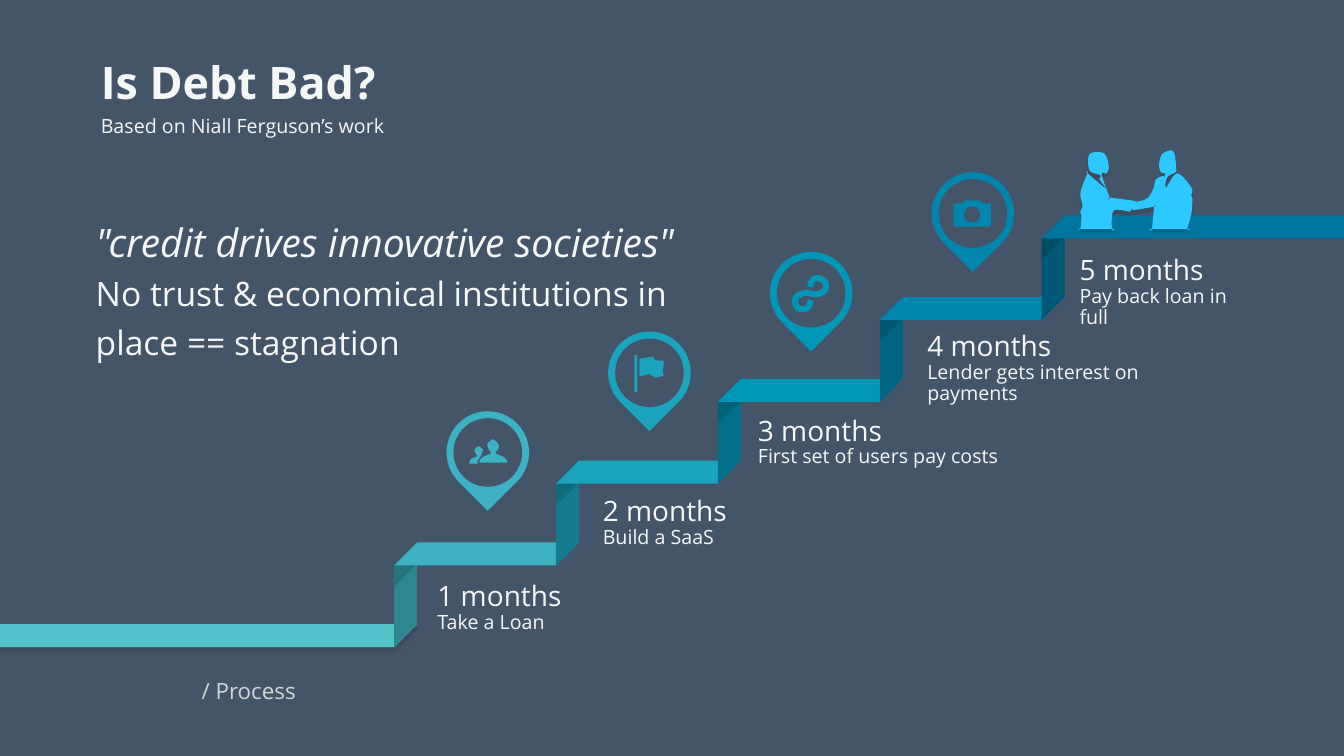
from lxml import etree
from pptx import Presentation
from pptx.dml.color import RGBColor
from pptx.enum.shapes import MSO_SHAPE
from pptx.enum.text import MSO_ANCHOR, MSO_AUTO_SIZE, PP_ALIGN
from pptx.oxml.ns import qn
from pptx.util import Pt

OVAL, TEAR = MSO_SHAPE.OVAL, MSO_SHAPE.TEAR
TOP, MIDDLE = MSO_ANCHOR.TOP, MSO_ANCHOR.MIDDLE
NO_FIT, LEFT = MSO_AUTO_SIZE.NONE, PP_ALIGN.LEFT

BACK, PALE, FACE = "445469", "F6F8F8", "Open Sans"
UNIT = 0.72  # points per step of the icon grids

# Stairs: fold size, left edges of the bands, top of the lowest band
FOLD, RISE, FLOOR = 16.5, 58.4, 445.8
EDGES = [-17.3] + [281.5 + 115.65 * i for i in range(5)] + [960.5]
BANDS = ["51C3CA", "3CB2C3", "1AA5BD", "0097B7", "0086AC", "00759E"]
SIDES = ["2D8692", "147C8E", "007189", "006581", "005877"]
SHADES = ["1E5962", "0D525F", "004B5C", "004356", "003B4F"]

# Month captions: left, top, width, height, text
STEPS = [
    (312.5, 416.2, 185, 43, "Take a Loan"),
    (430.6, 355.7, 185, 43, "Build a SaaS"),
    (541.4, 298.1, 185, 43, "First set of users pay costs"),
    (662.4, 237.6, 185, 60, "Lender gets interest on payments"),
    (771.1, 183.6, 116.6, 60, "Pay back loan in full"),
]

# Icon outlines, measured from the pin centre
SMALL = [(-10, 8), (-7, 4), (-6, 1), (-5, -1), (-5, -3), (-9, -6), (-13, -3),
         (-13, -1), (-12, 1), (-11, 4), (-16, 6), (-18, 9), (-18, 11),
         (-18, 11), (-10, 11), (-10, 11)]
LARGE = [(5, -13), (10, -9), (11, -6), (10, -3), (8, 1), (15, 4), (19, 8),
         (19, 10), (19, 10), (-8, 10), (-8, 10), (-8, 8), (-4, 4), (3, 1),
         (1, -3), (0, -6), (0, -9)]
FLAG = [(14, -12), (8, -12), (5, -13), (5, -15), (2, -16), (-3, -15),
        (-10, -14), (-10, 3), (-7, 3), (0, 1), (3, 3), (6, 5), (14, 3),
        (13, -2), (14, -7)]
POLE = [(-15, -16), (-14, -18), (-13, -18), (-12, -16), (-12, 19), (-15, 19)]
CHAIN = [(0, 7), (-3, 14), (-8, 16), (-14, 14), (-16, 8), (-14, 3), (-7, 0),
         (-3, 0), (3, 1), (7, 1), (13, -2), (15, -7), (13, -12), (7, -15),
         (1, -13), (-1, -6)]
BODY = [(17, -10), (9, -10), (8, -13), (-8, -13), (-10, -10), (-18, -10),
        (-19, -9), (-19, 12), (-18, 13), (17, 13), (18, 12), (18, -9)]

# Two people shaking hands, measured from their top left corner
HANDS = [(85, 36), (96, 22), (110, 36), (110, 44), (111, 48), (110, 62),
         (106, 77), (106, 77), (71, 77), (71, 77), (73, 55), (73, 55),
         (56, 58), (50, 58), (49, 60), (33, 59), (31, 77), (31, 77), (0, 77),
         (0, 77), (1, 66), (0, 60), (2, 54), (0, 41), (7, 22), (7, 22),
         (25, 37), (19, 28), (20, 24), (9, 19), (9, 3), (23, 2), (28, 14),
         (26, 22), (21, 23), (29, 46), (29, 46), (52, 49), (56, 50), (66, 47),
         (72, 38), (75, 28), (83, 25), (80, 34), (84, 23), (80, 21), (78, 14),
         (81, 3), (92, 0), (95, 17), (94, 21), (86, 26)]


def color(code):
    return RGBColor.from_string(code)


def apply(item, values):
    for name, value in values.items():
        setattr(item, name, value)


def fade(fill, share):
    """Make a solid fill or text colour partly clear."""
    tone = fill._xPr.find(qn("a:solidFill"))[0]
    etree.SubElement(tone, qn("a:alpha"), val=str(share * 1000))


def paint(shape, code, share=100):
    shape.shadow.inherit = False
    shape.fill.solid()
    shape.fill.fore_color.rgb = color(code)
    shape.line.fill.background()
    if share < 100:
        fade(shape.fill, share)
    return shape


def shade(shape):
    """Cast a faint shadow straight down."""
    list_ = shape._element.spPr.find(qn("a:effectLst"))
    drop = etree.SubElement(list_, qn("a:outerShdw"), blurRad=str(Pt(1)),
                            dist=str(Pt(3)), dir="5400000", rotWithShape="0")
    tone = etree.SubElement(drop, qn("a:srgbClr"), val="000000")
    etree.SubElement(tone, qn("a:alpha"), val="10000")


def smooth(dots, closed=True, parts=5):
    """Run a soft curve through the dots."""
    ring = dots[-1:] + dots + dots[:2] if closed else dots[:1] + dots + dots[-1:]
    curve = []
    for a, b, c, d in zip(ring, ring[1:], ring[2:], ring[3:]):
        for t in (n / parts for n in range(parts)):
            curve.append(tuple(
                q + t * (r - p) / 2 + t * t * (p - 2.5 * q + 2 * r - s / 2)
                + t ** 3 * (3 * q - p - 3 * r + s) / 2
                for p, q, r, s in zip(a, b, c, d)))
    return curve if closed else curve + dots[-1:]


def draw(slide, dots, x=0, y=0, unit=1, closed=True):
    spots = [(Pt(x + unit * a), Pt(y + unit * b)) for a, b in dots]
    form = slide.shapes.build_freeform(*spots[0], scale=1.0)
    form.add_line_segments(spots[1:], close=closed)
    return form.convert_to_shape()


def disc(slide, kind, x, y, size, code):
    half = size / 2
    box = (Pt(v) for v in (x - half, y - half, size, size))
    return paint(slide.shapes.add_shape(kind, *box), code)


def write(shape, box, lines, spacing, anchor=TOP, inset=0):
    """Fill a text shape with (text, font values) lines."""
    apply(shape, dict(zip(("left", "top", "width", "height"), map(Pt, box))))
    frame = shape.text_frame
    apply(frame, dict.fromkeys(("margin_left", "margin_top", "margin_right",
                                "margin_bottom"), Pt(inset)))
    apply(frame, {"word_wrap": True, "auto_size": NO_FIT,
                  "vertical_anchor": anchor})
    for n, (text, values) in enumerate(lines):
        para = frame.add_paragraph() if n else frame.paragraphs[0]
        props = para._p.get_or_add_pPr()
        apply(para, {"line_spacing": spacing, "space_before": Pt(0),
                     "alignment": LEFT})
        if shape.is_placeholder:
            props.set("marL", "0")
            props.set("indent", "0")
            etree.SubElement(props, qn("a:buNone"))
        run = para.add_run()
        run.text = text
        apply(run.font, {"name": FACE, **values})
        run.font.color.rgb = color(PALE)
    return frame


def label(slide, *args, **extra):
    return write(slide.shapes.add_textbox(0, 0, 0, 0), *args, **extra)


def stairs(slide):
    for n, code in enumerate(BANDS):
        left, right, top = EDGES[n], EDGES[n + 1], FLOOR - n * RISE
        low, end = top + FOLD, left + FOLD
        if n:
            for drop, tone, share in ((RISE, SIDES[n - 1], 100),
                                      (15.3, SHADES[n - 1], 40)):
                side = [(left, low + drop), (end, top + drop),
                        (end, top), (left, low)]
                paint(draw(slide, side), tone, share)
        band = [(left, low), (end, top), (right + FOLD, top), (right, low)]
        shape = paint(draw(slide, band), code)
        if not n:
            shade(shape)


def pins(slide):
    icons = [[smooth(SMALL), smooth(LARGE)], [FLAG, POLE], [], [BODY]]
    for n, icon in enumerate(icons):
        x, y, code = 348.4 + 115.5 * n, 323.2 - 56.9 * n, BANDS[n + 1]
        disc(slide, TEAR, x, y, 59, code).rotation = 135
        disc(slide, OVAL, x, y, 49, BACK)
        for dots in icon:
            paint(draw(slide, dots, x, y, UNIT), code)
        if not icon:  # chain link, a thick open line
            link = draw(slide, smooth(CHAIN, False), x, y, UNIT, False)
            link.shadow.inherit = False
            link.fill.background()
            link.line.color.rgb = color(code)
            link.line.width = Pt(4.3)
        if icon == [BODY]:  # camera lens
            disc(slide, OVAL, x - 0.5, y + 0.8, 11.6, BACK)


def main():
    deck = Presentation()
    apply(deck, {"slide_width": Pt(960), "slide_height": Pt(540)})
    slide = deck.slides.add_slide(deck.slide_layouts[1])
    slide.background.fill.solid()
    slide.background.fill.fore_color.rgb = color(BACK)

    # Heading
    head, sub = slide.placeholders
    write(head, (72, 28.8, 816, 64), [("Is Debt Bad?", {
        "size": Pt(32), "bold": True})], 0.9, MIDDLE)
    write(sub, (72, 83.5, 816, 28.8), [("Based on Niall Ferguson’s work", {
        "size": Pt(14)})], 0.9)
    foot = label(slide, (144, 486, 218, 24),
                 [("/ Process", {"size": Pt(16)})], 0.9)
    fade(foot.paragraphs[0].runs[0].font.fill, 80)

    # Stairs, people and pins
    stairs(slide)
    shade(paint(draw(slide, smooth(HANDS), 771.8, 108, UNIT), "2CC8FF"))
    pins(slide)

    # Captions and statement
    for n, (*box, text) in enumerate(STEPS, 1):
        label(slide, box, [(f"{n} months", {"size": Pt(20)}),
                           (text, {"size": Pt(14)})], 0.89)
    label(slide, (64.8, 145.4, 477.4, 90.7),
          [('"credit drives innovative societies"',
            {"size": Pt(28), "italic": True})], 1.2, inset=3.6)
    label(slide, (64.8, 185.8, 477.4, 80),
          [("No trust & economical institutions in place == stagnation",
            {"size": Pt(24)})], 1.2, inset=3.6)
    deck.save("out.pptx")


if __name__ == "__main__":
    main()
